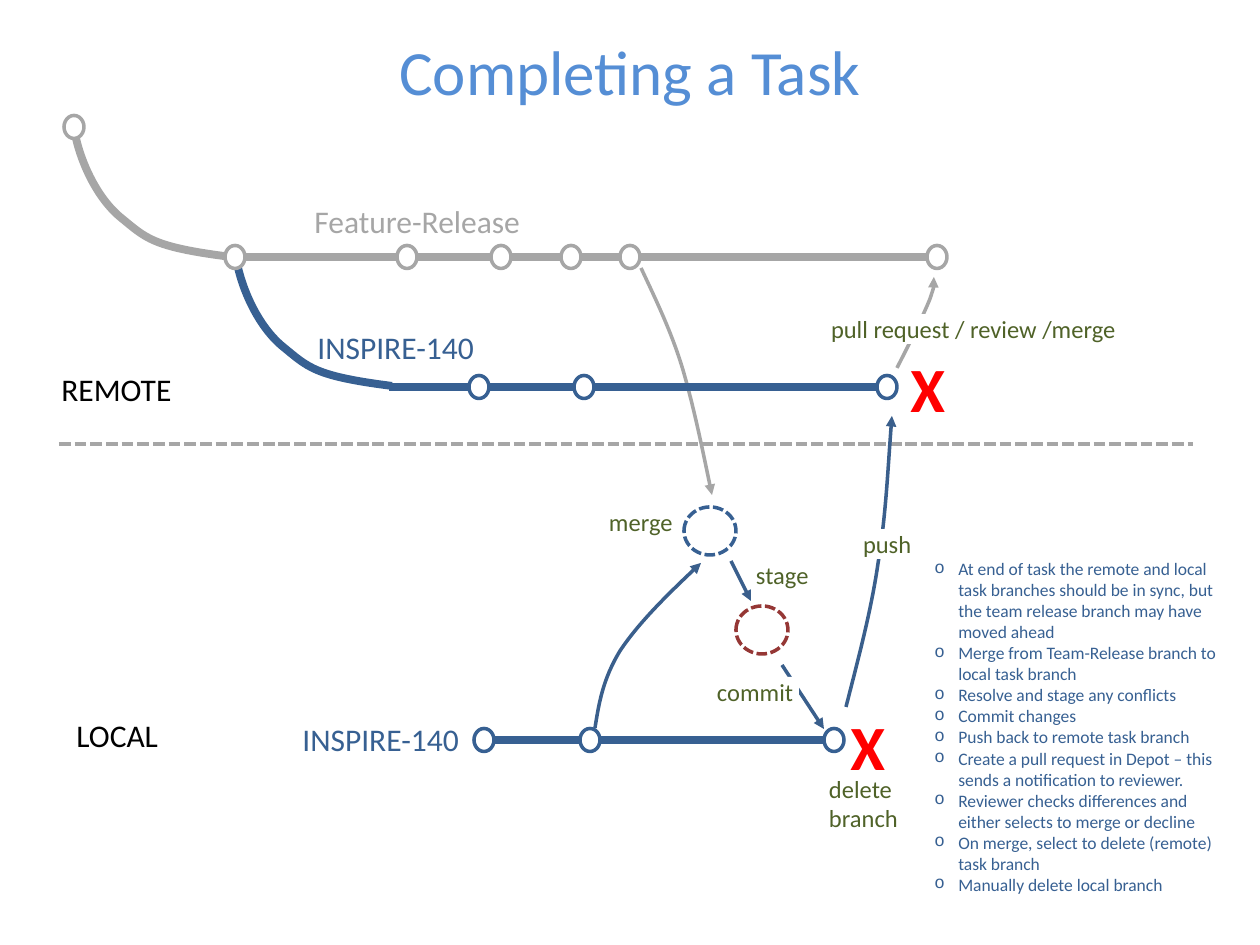
from lxml import etree
from pptx import Presentation
from pptx import util as u
from pptx.dml.color import RGBColor
from pptx.enum import dml, shapes, text
from pptx.oxml.ns import qn

EMU_PER_PX = 914400 / 126
FONT = "Calibri"
COLOURS = {
    "title": "558ED5", "release": "A6A6A6", "task": "376092", "arrow": "3A5F8C",
    "staged": "953735", "action": "4F6228", "deleted": "FF0000",
    "area": "000000", "paper": "FFFFFF",
}
STEPS = [
    "At end of task the remote and local task branches should be in sync, "
    "but the team release branch may have moved ahead",
    "Merge from Team-Release branch to local task branch",
    "Resolve and stage any conflicts",
    "Commit changes",
    "Push back to remote task branch",
    "Create a pull request in Depot – this sends a notification to reviewer.",
    "Reviewer checks differences and either selects to merge or decline",
    "On merge, select to delete (remote) task branch",
    "Manually delete local branch",
]


def px(value):
    return u.Emu(round(value * EMU_PER_PX))


def colour(name):
    return RGBColor.from_string(COLOURS[name])


def style_line(shape, name, width, dashed=False, arrow=False):
    shape.line.color.rgb = colour(name)
    shape.line.width = u.Pt(width)
    if dashed:
        shape.line.dash_style = dml.MSO_LINE.SQUARE_DOT
    if arrow:
        etree.SubElement(shape.line._get_or_add_ln(), qn("a:tailEnd"), type="triangle")


def add_line(slide, start, end, name, width, dashed=False, arrow=False):
    line = slide.shapes.add_connector(
        shapes.MSO_CONNECTOR.STRAIGHT, *map(px, (*start, *end)))
    etree.SubElement(line._element.spPr, qn("a:effectLst"))
    style_line(line, name, width, dashed, arrow)


def add_curve(slide, points, name, width, arrow=False):
    builder = slide.shapes.build_freeform(*points[0], scale=EMU_PER_PX)
    builder.add_line_segments(points[1:], close=False)
    shape = builder.convert_to_shape()
    shape.shadow.inherit = False
    shape.fill.background()
    style_line(shape, name, width, arrow=arrow)
    path = next(shape._element.iter(qn("a:path")))
    segments = path.findall(qn("a:lnTo"))
    for first in range(0, len(segments), 3):
        bezier = etree.SubElement(path, qn("a:cubicBezTo"))
        for segment in segments[first:first + 3]:
            bezier.append(segment[0])
            path.remove(segment)


def add_circle(slide, centre, size, name, dashed=False):
    (x, y), (width, height) = centre, size
    circle = slide.shapes.add_shape(
        shapes.MSO_SHAPE.OVAL, px(x - width / 2), px(y - height / 2), px(width), px(height))
    circle.shadow.inherit = False
    circle.fill.solid()
    circle.fill.fore_color.rgb = colour("paper")
    style_line(circle, name, 2, dashed)


def add_text(slide, words, box, size, name, bold=False, wrap=False):
    shape = slide.shapes.add_textbox(*map(px, box))
    frame = shape.text_frame
    frame.word_wrap = wrap
    frame.text = words
    for paragraph in frame.paragraphs:
        for run in paragraph.runs:
            run.font.name = FONT
            run.font.size = u.Pt(size)
            run.font.bold = bold
            run.font.color.rgb = colour(name)
    return shape


def add_action(slide, words, box, wrap=False):
    label = add_text(slide, words, box, 14, "action", wrap=wrap)
    label.fill.solid()
    label.fill.fore_color.rgb = colour("paper")
    frame = label.text_frame
    frame.margin_left = frame.margin_right = px(5)
    frame.margin_top = frame.margin_bottom = 0


def add_steps(slide):
    box = add_text(slide, "\n".join(STEPS), (922, 552, 314, 373), 10, "task", wrap=True)
    for paragraph in box.text_frame.paragraphs:
        properties = paragraph._p.get_or_add_pPr()
        properties.set("marL", str(px(24)))
        properties.set("indent", str(px(-24)))
        etree.SubElement(properties, qn("a:buFont"), typeface="Courier New")
        etree.SubElement(properties, qn("a:buChar"), char="o")


def add_branch(slide, y, name, spans, commits):
    for start, end in spans:
        add_line(slide, (start, y), (end, y), name, 4.5)
    for x in commits:
        add_circle(slide, (x, y), (20, 23), name)


def main():
    presentation = Presentation()
    presentation.slide_width, presentation.slide_height = px(1260), px(945)
    slide = presentation.slides.add_slide(presentation.slide_layouts[6])

    title = add_text(slide, "Completing a Task", (63, 26, 1134, 158), 36, "title", wrap=True)
    title.text_frame.paragraphs[0].alignment = text.PP_ALIGN.CENTER

    add_curve(slide, [(641, 268), (656, 300), (672, 333), (683, 370),
                      (694, 408), (703, 452), (712, 495)], "release", 2, arrow=True)
    add_curve(slide, [(595, 728), (599, 703), (603, 679), (620, 651),
                      (638, 624), (669, 593), (701, 563)], "arrow", 2, arrow=True)
    add_circle(slide, (710, 531), (52, 48), "task", dashed=True)
    add_circle(slide, (762, 630), (52, 48), "staged", dashed=True)
    add_action(slide, "merge", (604, 507, 74, 30))
    add_line(slide, (731, 561), (751, 601), "arrow", 2, arrow=True)
    add_action(slide, "stage", (751, 560, 63, 30))
    add_line(slide, (782, 665), (824, 729), "arrow", 2, arrow=True)
    add_action(slide, "commit", (712, 677, 87, 30))
    add_curve(slide, [(897, 368), (911, 341), (924, 314), (930, 299),
                      (935, 284), (935, 281), (934, 277)], "release", 2, arrow=True)
    add_action(slide, "pull request / review /merge", (826, 314, 298, 30))
    add_steps(slide)

    for box in ((898, 343, 61, 89), (838, 701, 61, 89)):
        add_text(slide, "X", box, 36, "deleted", bold=True)
    add_action(slide, "delete branch", (824, 774, 88, 60), wrap=True)

    add_line(slide, (59, 444), (1193, 444), "release", 2.25, dashed=True)
    add_text(slide, "REMOTE", (49, 364, 136, 50), 18, "area")
    add_text(slide, "LOCAL", (64, 710, 108, 50), 18, "area")
    add_text(slide, "Feature-Release", (302, 196, 233, 50), 18, "release")
    for box in ((305, 322, 184, 50), (290, 714, 184, 50)):
        add_text(slide, "INSPIRE-140", box, 18, "task")

    add_curve(slide, [(74, 128), (78, 155), (94, 195), (120, 217),
                      (146, 238), (151, 247), (231, 257)], "release", 4.5)
    add_curve(slide, [(236, 257), (240, 284), (256, 324), (282, 346),
                      (308, 367), (313, 376), (392, 386)], "task", 4.5)
    add_circle(slide, (74, 127), (20, 23), "release")
    add_branch(slide, 257, "release", [(231, 620), (640, 927)],
               [235, 407, 501, 571, 630, 937])
    add_branch(slide, 387, "task", [(389, 469), (489, 574), (595, 877)], [479, 584, 887])
    add_branch(slide, 740, "task", [(494, 580), (600, 824)], [484, 590, 834])

    add_curve(slide, [(846, 707), (858, 660), (871, 612), (878, 564),
                      (886, 515), (888, 465), (892, 416)], "arrow", 2, arrow=True)
    add_action(slide, "push", (858, 529, 59, 30))

    presentation.save("out.pptx")


if __name__ == "__main__":
    main()
